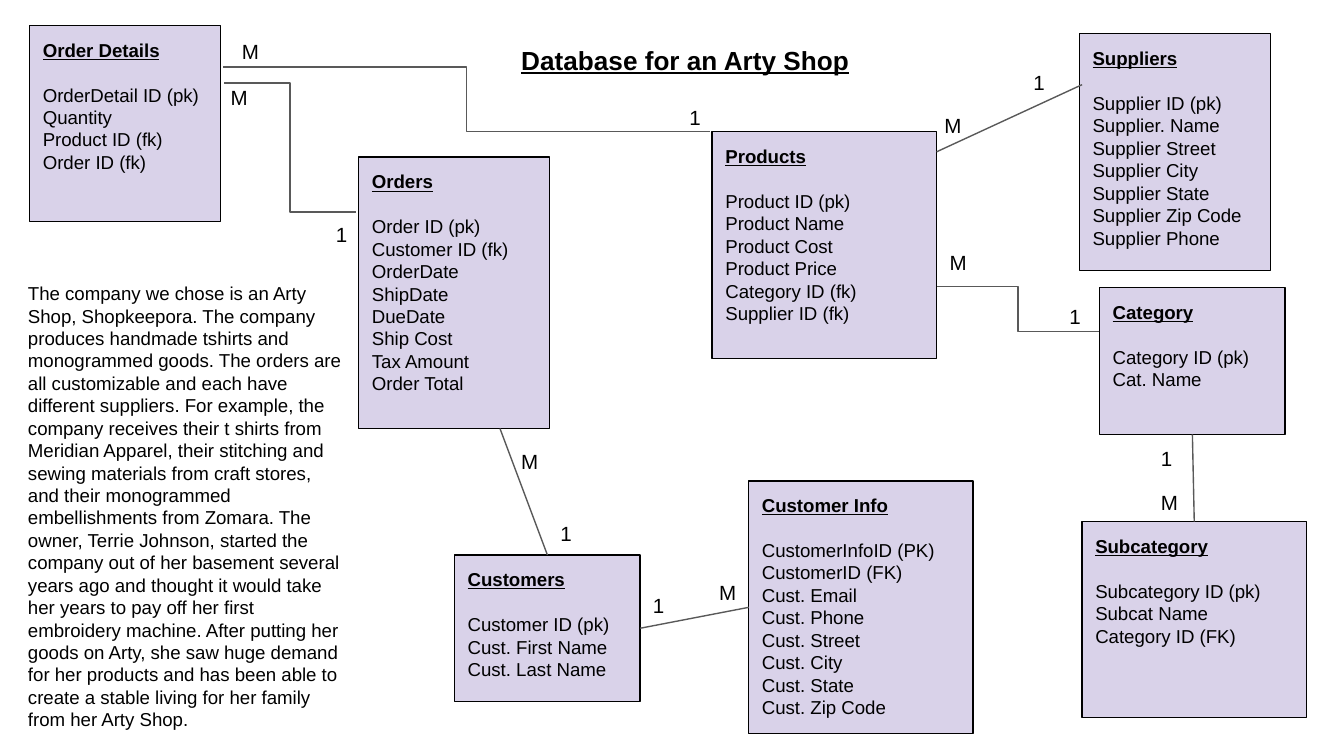
from dataclasses import dataclass

from pptx import Presentation
from pptx import util as u
from pptx.dml.color import RGBColor
from pptx.enum import shapes, text
from pptx.oxml.ns import qn
from lxml import etree


@dataclass(frozen=True)
class Theme:
    font: str = "Arial"
    ink: str = "000000"
    table_fill: str = "D9D2E9"
    link: str = "595959"
    title_size: int = 14
    mark_size: int = 11
    body_size: int = 10
    heading_gap: int = 12
    line_width: float = 0.75


THEME = Theme()
SLIDE_SIZE = (25.4, 14.29)
INSET = 0.25
MARK_SIZE = (1.02, 0.74)
TOP, LEFT, BOTTOM, RIGHT = range(4)

TITLE = "Database for an Arty Shop"
TITLE_BOX = (9.6, 0.58, 6.88, 1.65)
STORY_BOX = (0.28, 5.08, 6.5, 8.43)
STORY = (
    "The company we chose is an Arty Shop, Shopkeepora. The company produces "
    "handmade tshirts and monogrammed goods. The orders are all customizable "
    "and each have different suppliers. For example, the company receives "
    "their t shirts from Meridian Apparel, their stitching and sewing materials "
    "from craft stores, and their monogrammed embellishments from Zomara. The "
    "owner, Terrie Johnson, started the company out of her basement several "
    "years ago and thought it would take her years to pay off her first "
    "embroidery machine. After putting her goods on Arty, she saw huge demand "
    "for her products and has been able to create a stable living for her "
    "family from her Arty Shop."
)

# Table name: box (left, top, width, height) and fields
TABLES = {
    "Order Details": ((0.56, 0.48, 3.61, 3.71), [
        "OrderDetail ID (pk)", "Quantity", "Product ID (fk)", "Order ID (fk)"]),
    "Customers": ((8.59, 10.49, 3.51, 2.77), [
        "Customer ID (pk)", "Cust. First Name", "Cust. Last Name"]),
    "Products": ((13.46, 2.49, 4.24, 4.29), [
        "Product ID (pk)", "Product Name", "Product Cost", "Product Price",
        "Category ID (fk)", "Supplier ID (fk)"]),
    "Suppliers": ((20.4, 0.64, 3.61, 4.47), [
        "Supplier ID (pk)", "Supplier. Name", "Supplier Street", "Supplier City",
        "Supplier State", "Supplier Zip Code", "Supplier Phone"]),
    "Category": ((20.78, 5.44, 3.51, 2.77), ["Category ID (pk)", "Cat. Name"]),
    "Orders": ((6.78, 2.97, 3.61, 5.13), [
        "Order ID (pk)", "Customer ID (fk)", "OrderDate", "ShipDate", "DueDate",
        "Ship Cost", "Tax Amount", "Order Total"]),
    "Customer Info": ((14.15, 9.09, 4.24, 4.78), [
        "CustomerInfoID (PK)", "CustomerID (FK)", "Cust. Email", "Cust. Phone",
        "Cust. Street", "Cust. City", "Cust. State", "Cust. Zip Code"]),
    "Subcategory": ((20.45, 9.86, 4.24, 3.71), [
        "Subcategory ID (pk)", "Subcat Name", "Category ID (FK)"]),
}

# Relation: kind, two ends (a point, or a table and its side),
# and the marks at each end (text, left, top)
ELBOW, STRAIGHT = shapes.MSO_CONNECTOR.ELBOW, shapes.MSO_CONNECTOR.STRAIGHT
RELATIONS = [
    (ELBOW, (4.22, 1.27), (13.41, 2.49), ("M", 4.32, 0.48), ("1", 12.78, 1.73)),
    (ELBOW, (17.7, 5.42), (20.78, 6.27), ("M", 17.7, 4.47), ("1", 19.96, 5.49)),
    (STRAIGHT, (17.7, 2.87), (20.45, 1.6), ("M", 17.6, 1.88), ("1", 19.28, 1.07)),
    (ELBOW, (4.24, 1.57), (6.73, 4.01), ("M", 4.11, 1.35), ("1", 6.1, 3.94)),
    (STRAIGHT, (9.45, 8.1), ("Customers", TOP),
     ("M", 9.6, 8.23), ("1", 10.34, 9.6)),
    (STRAIGHT, ("Customers", RIGHT), ("Customer Info", LEFT),
     ("1", 12.09, 10.95), ("M", 13.34, 10.72)),
    (STRAIGHT, ("Category", BOTTOM), ("Subcategory", TOP),
     ("1", 21.69, 8.18), ("M", 21.69, 9.02)),
]


def lengths(values):
    return [u.Cm(value) for value in values]


def apply(target, values):
    for name, value in values.items():
        setattr(target, name, value)


def prepare_frame(shape):
    frame = shape.text_frame
    apply(frame, {
        "word_wrap": True,
        "auto_size": text.MSO_AUTO_SIZE.NONE,
        "vertical_anchor": text.MSO_ANCHOR.TOP,
        **{f"margin_{side}": u.Cm(INSET)
           for side in ("left", "top", "right", "bottom")},
    })
    return frame


def write(paragraph, words, size, heading=False):
    paragraph.alignment = text.PP_ALIGN.LEFT
    run = paragraph.add_run()
    run.text = words
    apply(run.font, {"name": THEME.font, "size": u.Pt(size),
                     "bold": heading, "underline": heading})
    run.font.color.rgb = RGBColor.from_string(THEME.ink)


def style_line(line, color):
    line.color.rgb = RGBColor.from_string(color)
    line.width = u.Pt(THEME.line_width)


def place_title(slide, box):
    title = slide.shapes.title
    apply(title, dict(zip(("left", "top", "width", "height"), lengths(box))))
    write(prepare_frame(title).paragraphs[0], TITLE, THEME.title_size, heading=True)


def place_text(slide, box, words, size):
    shape = slide.shapes.add_textbox(*lengths(box))
    write(prepare_frame(shape).paragraphs[0], words, size)


def place_table(slide, box, name, fields):
    shape = slide.shapes.add_shape(shapes.MSO_SHAPE.RECTANGLE, *lengths(box))
    shape.shadow.inherit = False
    shape.fill.solid()
    shape.fill.fore_color.rgb = RGBColor.from_string(THEME.table_fill)
    style_line(shape.line, THEME.ink)
    frame = prepare_frame(shape)
    heading = frame.paragraphs[0]
    write(heading, name, THEME.body_size, heading=True)
    heading.space_after = u.Pt(THEME.heading_gap)
    for field in fields:
        write(frame.add_paragraph(), field, THEME.body_size)
    return shape


def place_relation(slide, tables, kind, start, end, *marks):
    # Ends on a table are moved to its side once joined
    points = [(0, 0) if place[0] in tables else place for place in (start, end)]
    connector = slide.shapes.add_connector(kind, *lengths(points[0] + points[1]))
    for place, join in ((start, connector.begin_connect),
                        (end, connector.end_connect)):
        if place[0] in tables:
            join(tables[place[0]], place[1])
    style_line(connector.line, THEME.link)
    properties = connector._element.find(qn("p:spPr"))
    etree.SubElement(properties, qn("a:effectLst"))
    for words, left, top in marks:
        place_text(slide, (left, top, *MARK_SIZE), words, THEME.mark_size)


def main():
    presentation = Presentation()
    presentation.slide_width, presentation.slide_height = lengths(SLIDE_SIZE)
    slide = presentation.slides.add_slide(presentation.slide_layouts[5])

    # Title and company story
    place_title(slide, TITLE_BOX)
    place_text(slide, STORY_BOX, STORY, THEME.body_size)

    # Tables, then the relations between them
    tables = {name: place_table(slide, box, name, fields)
              for name, (box, fields) in TABLES.items()}
    for relation in RELATIONS:
        place_relation(slide, tables, *relation)

    presentation.save("out.pptx")


if __name__ == "__main__":
    main()
